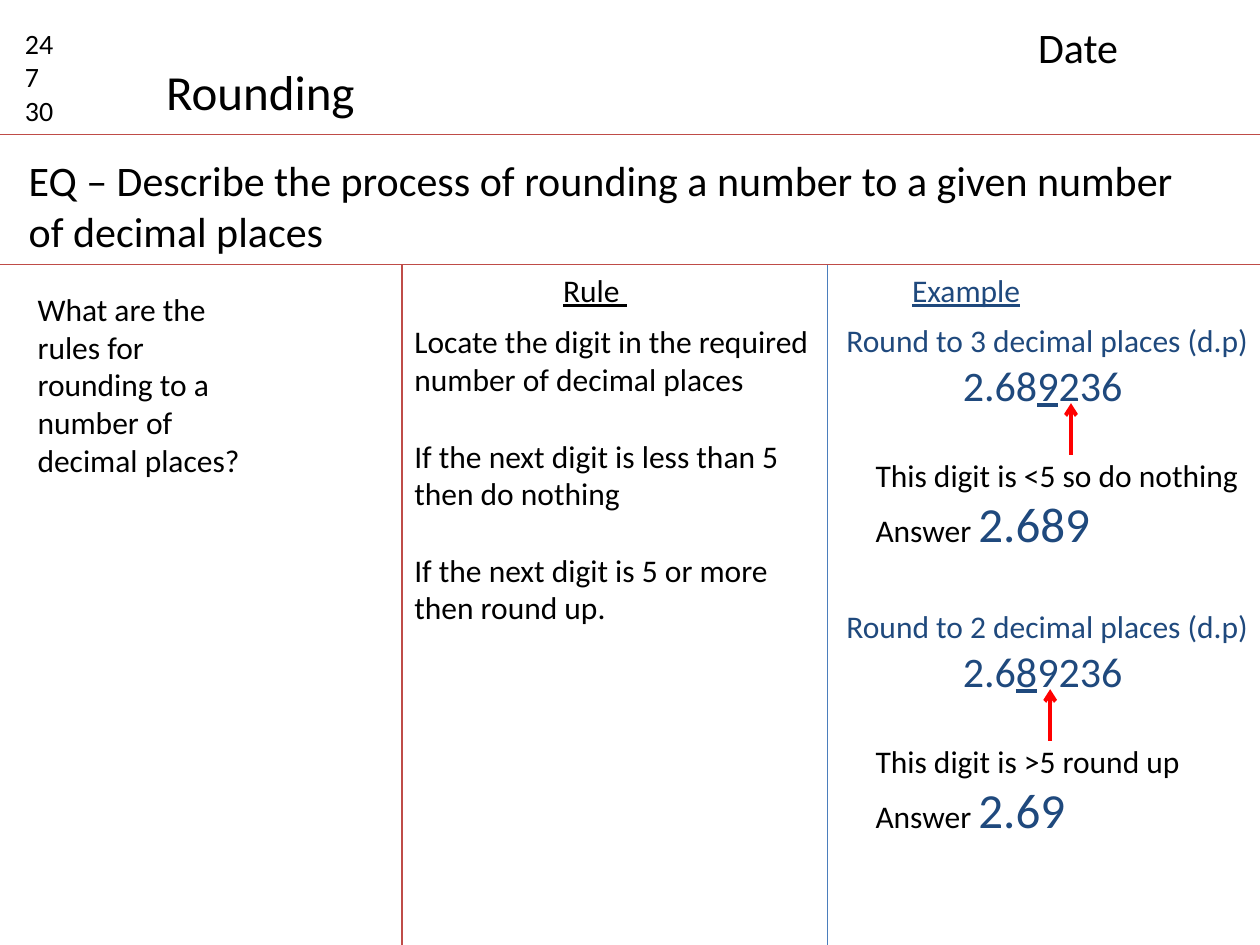
from typing import NamedTuple, Optional

from lxml import etree
from pptx import Presentation
from pptx.dml.color import RGBColor
from pptx.enum.shapes import MSO_CONNECTOR
from pptx.enum.text import MSO_AUTO_SIZE, PP_ALIGN
from pptx.oxml.ns import qn
from pptx.util import Inches, Length, Pt

STRAIGHT = MSO_CONNECTOR.STRAIGHT
CENTER = PP_ALIGN.CENTER
FIT_SHAPE = MSO_AUTO_SIZE.SHAPE_TO_FIT_TEXT
BOTTOM_SITE = 2

FONT = "Calibri"
BLACK, NAVY, RED = "000000", "1F497D", "FF0000"
RULE_RED, RULE_BLUE = "BF4C48", "4B7EBC"

# A grid of 100 columns by 75 rows covers the slide.
COLUMNS, ROWS = 100, 75
CELL = Inches(0.1)
HEADER_ROW, BODY_ROW = 10.7, 21
RULE_COLUMN, EXAMPLE_COLUMN = 31.9, 65.7


class Area(NamedTuple):
    column: float
    row: float
    columns: float
    rows: float


class Run(NamedTuple):
    text: str
    size: Optional[float] = None
    color: Optional[str] = None
    underline: Optional[bool] = None


class Para(NamedTuple):
    runs: tuple[Run, ...]
    size: float = 18
    color: str = BLACK
    align: Optional[PP_ALIGN] = None
    space_before: float = 0


class Note(NamedTuple):
    area: Area
    paras: tuple[Para, ...]
    wrap: bool = True


class Example(NamedTuple):
    row: float
    places: int
    before: str
    kept_digit: str
    after: str
    verdict: str
    verdict_columns: float
    answer: str
    arrow_column: Optional[float] = None


def cells(count: float) -> Length:
    return Length(round(count * CELL))


def rgb(color: str) -> RGBColor:
    return RGBColor.from_string(color)


def plain(text: str, size: float = 18, space_before: float = 0) -> Para:
    return Para((Run(text),), size, space_before=space_before)


def add_note(slide, note: Note):
    box = slide.shapes.add_textbox(*(cells(length) for length in note.area))
    frame = box.text_frame
    frame.word_wrap = note.wrap
    frame.auto_size = FIT_SHAPE
    for index, para in enumerate(note.paras):
        paragraph = frame.add_paragraph() if index else frame.paragraphs[0]
        paragraph.font.name = FONT
        paragraph.font.size = Pt(para.size)
        paragraph.font.color.rgb = rgb(para.color)
        paragraph.alignment = para.align
        if para.space_before:
            paragraph.space_before = Pt(para.space_before)
        for part in para.runs:
            run = paragraph.add_run()
            run.text = part.text
            run.font.name = FONT
            run.font.size = Pt(part.size or para.size)
            run.font.color.rgb = rgb(part.color or para.color)
            run.font.underline = part.underline
    return box


def add_line(slide, start: tuple[float, float], end: tuple[float, float],
             color: str, width: float = 0.75):
    line = slide.shapes.add_connector(
        STRAIGHT, *(cells(length) for length in (*start, *end)))
    line.line.color.rgb = rgb(color)
    line.line.width = Pt(width)
    etree.SubElement(line._element.spPr, qn("a:effectLst"))
    return line


def add_example(slide, example: Example) -> None:
    """Draw the question, the arrow to the deciding digit, and the answer."""
    area = Area(66.2, example.row, 34.3, 11.1)
    number = (Run(example.before), Run(example.kept_digit, underline=True),
              Run(example.after))
    question = add_note(slide, Note(area, (
        Para((Run(f"Round to {example.places} decimal places (d.p)"),), color=NAVY),
        Para(number, 24, NAVY, CENTER),
    ), wrap=False))

    foot = area.row + area.rows
    column = example.arrow_column or area.column + area.columns / 2
    arrow = add_line(slide, (column, foot), (column, foot - 4.1), RED, 2.25)
    etree.SubElement(arrow.line._get_or_add_ln(), qn("a:tailEnd"), type="arrow")
    if example.arrow_column is None:
        arrow.begin_connect(question, BOTTOM_SITE)

    add_note(slide, Note(Area(68.5, foot - 0.4, example.verdict_columns, 8.8), (
        plain(example.verdict),
        Para((Run("Answer "), Run(example.answer, 28, NAVY))),
    ), wrap=False))


DIVIDERS = (
    ((0, HEADER_ROW), (COLUMNS, HEADER_ROW), RULE_RED),
    ((0, BODY_ROW), (COLUMNS, BODY_ROW), RULE_RED),
    ((RULE_COLUMN, BODY_ROW), (RULE_COLUMN, ROWS), RULE_RED),
    ((EXAMPLE_COLUMN, BODY_ROW), (EXAMPLE_COLUMN, ROWS), RULE_BLUE),
)

NOTES = (
    Note(Area(1, 1.6, 6.3, 9.1), tuple(plain(n, 16) for n in ("24", "7", "30"))),
    Note(Area(12.2, 4.4, 17.2, 5.7), (plain("Rounding", 28),), wrap=False),
    Note(Area(81.4, 1.2, 17.3, 5), (plain("Date", 24),)),
    Note(Area(1.3, 11.8, 94.3, 9.1), (plain(
        "EQ – Describe the process of rounding a number to a given number "
        "of decimal places", 24),)),
    Note(Area(2, 22.5, 18.7, 16.2), (plain(
        "What are the rules for rounding to a number of decimal places?"),)),
    Note(Area(RULE_COLUMN, 25.1, 34.1, 25.2), (
        plain("Locate the digit in the required number of decimal places"),
        plain("If the next digit is less than 5 then do nothing", space_before=22),
        plain("If the next digit is 5 or more then round up.", space_before=22),
    )),
    Note(Area(43.7, BODY_ROW, 7.1, 4),
         (Para((Run("Rule ", underline=True),)),), wrap=False),
    Note(Area(71.4, BODY_ROW, 10.6, 4),
         (Para((Run("Example", underline=True),), color=NAVY),), wrap=False),
)

EXAMPLES = (
    Example(25, 3, "2.68", "9", "236 ", "This digit is <5 so do nothing",
            31.2, "2.689", arrow_column=85),
    Example(47.7, 2, "2.6", "8", "9236 ", "This digit is >5 round up",
            26.5, "2.69"),
)


def main() -> None:
    presentation = Presentation()
    presentation.slide_width = cells(COLUMNS)
    presentation.slide_height = cells(ROWS)
    slide = presentation.slides.add_slide(presentation.slide_layouts[6])
    for start, end, color in DIVIDERS:
        add_line(slide, start, end, color)
    for note in NOTES:
        add_note(slide, note)
    for example in EXAMPLES:
        add_example(slide, example)
    presentation.save("out.pptx")


if __name__ == "__main__":
    main()
